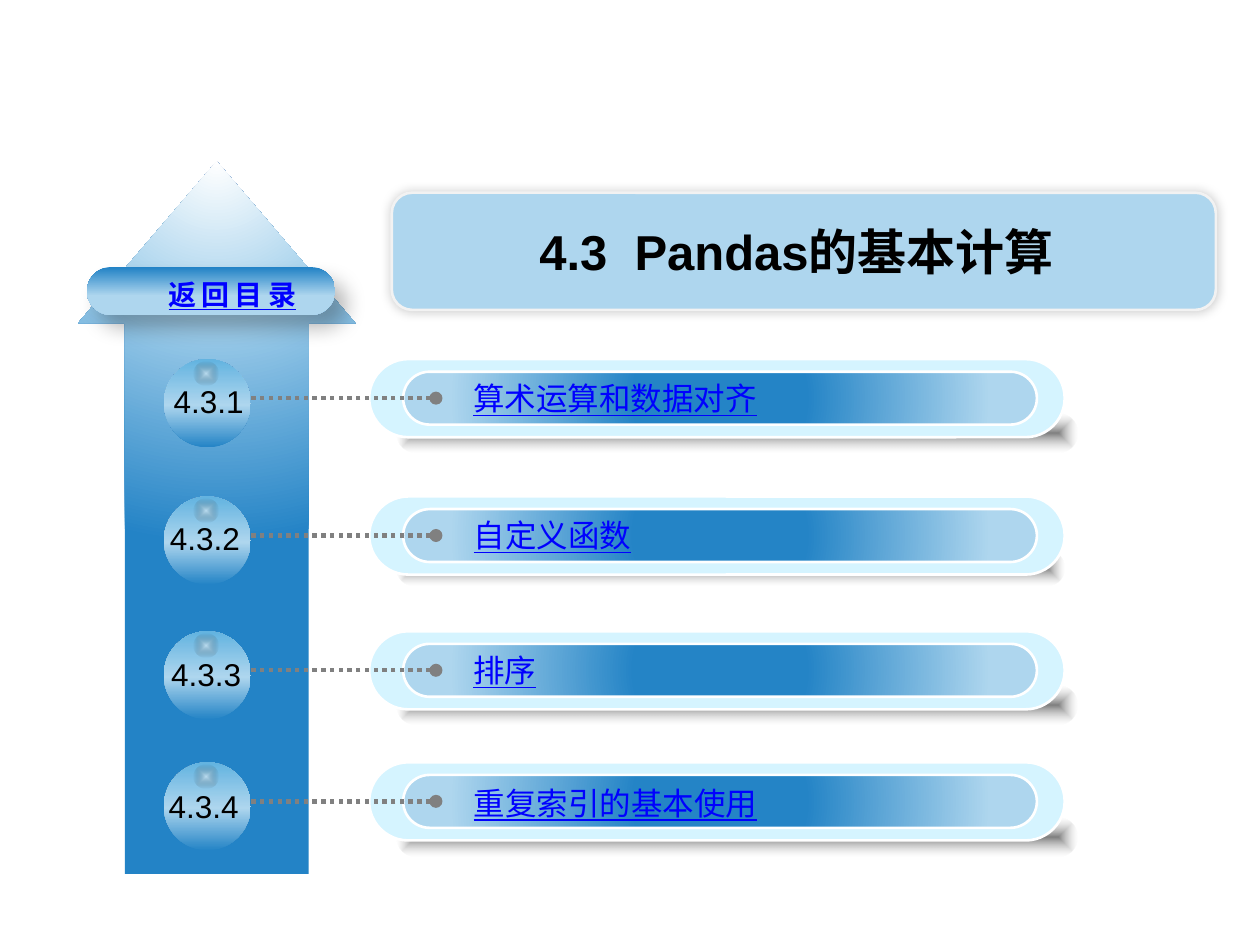
from lxml import etree
from pptx import Presentation
from pptx.dml.color import RGBColor
from pptx.enum.dml import MSO_LINE
from pptx.enum.shapes import MSO_CONNECTOR, MSO_SHAPE
from pptx.enum.text import MSO_AUTO_SIZE, PP_ALIGN
from pptx.oxml.ns import qn
from pptx.util import Inches, Pt

ROUND, OVAL, ARROW = MSO_SHAPE.ROUNDED_RECTANGLE, MSO_SHAPE.OVAL, MSO_SHAPE.UP_ARROW
STRAIGHT, DOTS = MSO_CONNECTOR.STRAIGHT, MSO_LINE.ROUND_DOT
CENTER, GROW = PP_ALIGN.CENTER, MSO_AUTO_SIZE.SHAPE_TO_FIT_TEXT

BLACK = RGBColor(0x00, 0x00, 0x00)
WHITE = RGBColor(0xFF, 0xFF, 0xFF)
BLUE = RGBColor(0x23, 0x83, 0xC6)
DEEP = RGBColor(0x24, 0x84, 0xC6)
SKY = RGBColor(0x62, 0xB3, 0xE0)
PALE = RGBColor(0xAE, 0xD6, 0xEE)
ICE = RGBColor(0xD5, 0xF4, 0xFF)
GRAY = RGBColor(0x80, 0x80, 0x80)
SILVER = RGBColor(0xB0, 0xB0, 0xB0)
FROST = RGBColor(0xF2, 0xF2, 0xF2)
LINK = RGBColor(0x00, 0x00, 0xFF)
LATIN, HAN = "Arial", "Noto Sans CJK SC"

# Grid of 100 columns by 75 rows
COLS, ROWS = 100, 75
CELL = Inches(0.1)

# Gradient stops: position, colour, opacity (all in percent)
MID = (50, 50, 50, 50)
SHAFT = [(0, WHITE, 100), (35, PALE, 100), (100, BLUE, 100)]
SHADE = [(0, BLACK, 50), (100, SILVER, 0)]
BAR = [(27, DEEP, 100), (85, PALE, 100)]
BALL = [(0, DEEP, 100), (48, PALE, 100), (100, SKY, 100)]
GLINT = [(0, WHITE, 50), (100, BLACK, 0)]
TAG = [(1, BLUE, 100), (60, PALE, 100)]

# Row top, number, its column and drop, topic, its width and drop, shade size
ITEMS = [
    (28.5, "4.3.1", 12.8, 1.3, "算术运算和数据对齐", 27.4, 1.1, (4.3, 54, 3.1)),
    (39.4, "4.3.2", 12.5, 1.3, "自定义函数", 43.8, 1.1, (4.3, 53, 2.8)),
    (50.1, "4.3.3", 12.6, 1.4, "排序", 36.3, 1.1, (4.3, 54, 3.1)),
    (60.5, "4.3.4", 12.4, 1.5, "重复索引的基本使用", 35.8, 1.2, (4.4, 54, 3.1)),
]


def grid(*cells):
    return [int(CELL * n) for n in cells]


def node(up, tag, **attrs):
    return etree.SubElement(up, qn(tag), {k: str(v) for k, v in attrs.items()})


def tint(up, color, alpha):
    node(node(up, "a:srgbClr", val=color), "a:alpha", val=int(alpha * 1000))


def blend(shape, stops, kind=None, to=MID, angle=0):
    """Fill with a linear gradient, or one of the given path kind."""
    grad = etree.Element(qn("a:gradFill"), rotWithShape="1")
    lst = node(grad, "a:gsLst")
    for pos, color, alpha in stops:
        tint(node(lst, "a:gs", pos=pos * 1000), color, alpha)
    if kind:
        sides = {k: n * 1000 for k, n in zip("ltrb", to)}
        node(node(grad, "a:path", path=kind), "a:fillToRect", **sides)
    else:
        node(grad, "a:lin", ang=angle * 60000, scaled=0)
    shape._element.spPr.find(qn("a:prstGeom")).addnext(grad)


def block(slide, form, box, adj=(), fill=None, edge=None):
    shape = slide.shapes.add_shape(form, *grid(*box))
    shape.shadow.inherit = False
    for i, n in enumerate(adj):
        shape.adjustments[i] = n
    if fill is not None:
        shape.fill.solid()
        shape.fill.fore_color.rgb = fill
    if edge is None:
        shape.line.fill.background()
    else:
        shape.line.color.rgb = edge
        shape.line.width = Pt(1.5)
    return shape


def shadow(shape, alpha, blur, dist, angle):
    lst = shape._element.spPr.find(qn("a:effectLst"))
    cast = node(lst, "a:outerShdw", blurRad=Pt(blur), dist=Pt(dist),
                dir=angle * 60000, algn="ctr", rotWithShape=0)
    tint(cast, BLACK, alpha)


def label(slide, box, text, size=18, face=LATIN, color=BLACK, bold=False,
          line=False, align=None, wrap=True, gap=0):
    frame = slide.shapes.add_textbox(*grid(*box)).text_frame
    frame.word_wrap = wrap
    frame.auto_size = GROW
    frame.text = text
    para = frame.paragraphs[0]
    para.alignment = align
    run = para.runs[0]
    font = run.font
    font.size, font.name, font.bold = Pt(size), face, bold
    font.underline = line
    font.color.rgb = color
    props = run._r.get_or_add_rPr()
    node(props, "a:ea", typeface=HAN)
    if gap:
        props.set("spc", str(gap * 100))


def leader(slide, x1, x2, y):
    """Dotted line that starts with a round dot."""
    line = slide.shapes.add_connector(STRAIGHT, *grid(x1, y, x2, y))
    line.line.color.rgb = GRAY
    line.line.width = Pt(2.5)
    line.line.dash_style = DOTS
    node(line.line._get_or_add_ln(), "a:headEnd", type="oval")
    node(line._element.spPr, "a:effectLst")


def item(slide, top, num, col, drop, topic, wide, dip, shade):
    # Bar with its soft shade
    low, w, h = shade
    blend(block(slide, ROUND, (31.5, top + low, w, h), [0.5]), SHADE, "shape")
    block(slide, ROUND, (29.3, top, 55.2, 6.2), [0.5], ICE, WHITE)
    bar = block(slide, ROUND, (32, top + 1, 50.3, 4.2), [0.5], edge=WHITE)
    blend(bar, BAR, "circle")
    leader(slide, 34.6, 18.2, top + 3.1)
    # Numbered ball
    blend(block(slide, OVAL, (13, top, 6.9, 7)), BALL, angle=270)
    blend(block(slide, OVAL, (15.4, top + 0.2, 1.9, 1.9)), GLINT, "shape")
    label(slide, (col, top + drop, 8.7, 4), num)
    label(slide, (36.6, top + dip, wide, 4), topic, face=HAN, color=LINK, line=True)


def main():
    deck = Presentation()
    deck.slide_width, deck.slide_height = grid(COLS, ROWS)
    slide = deck.slides.add_slide(deck.slide_layouts[6])

    # Arrow
    arrow = block(slide, ARROW, (6.2, 12.8, 22, 56.6), [0.663, 0.584])
    blend(arrow, SHAFT, "circle", (50, -80, 50, 180))

    # Title
    panel = block(slide, ROUND, (31.1, 15.3, 65.4, 9.3), [0.174], PALE, FROST)
    shadow(panel, 20, 6, 0, 225)
    label(slide, (31.1, 17.1, 64.2, 5.7), "4.3  Pandas的基本计算", 28,
          bold=True, align=CENTER)

    # Return tag
    tag = block(slide, ROUND, (6.9, 21.2, 19.7, 3.8), [0.5])
    blend(tag, TAG, angle=90)
    shadow(tag, 28, 11.8, 10, 48)
    label(slide, (12.1, 21.5, 12.7, 3.7), "返回目录", 16, HAN, LINK, bold=True,
          line=True, align=CENTER, wrap=False, gap=3)

    # Topics
    for entry in ITEMS:
        item(slide, *entry)

    deck.save("out.pptx")


if __name__ == "__main__":
    main()
